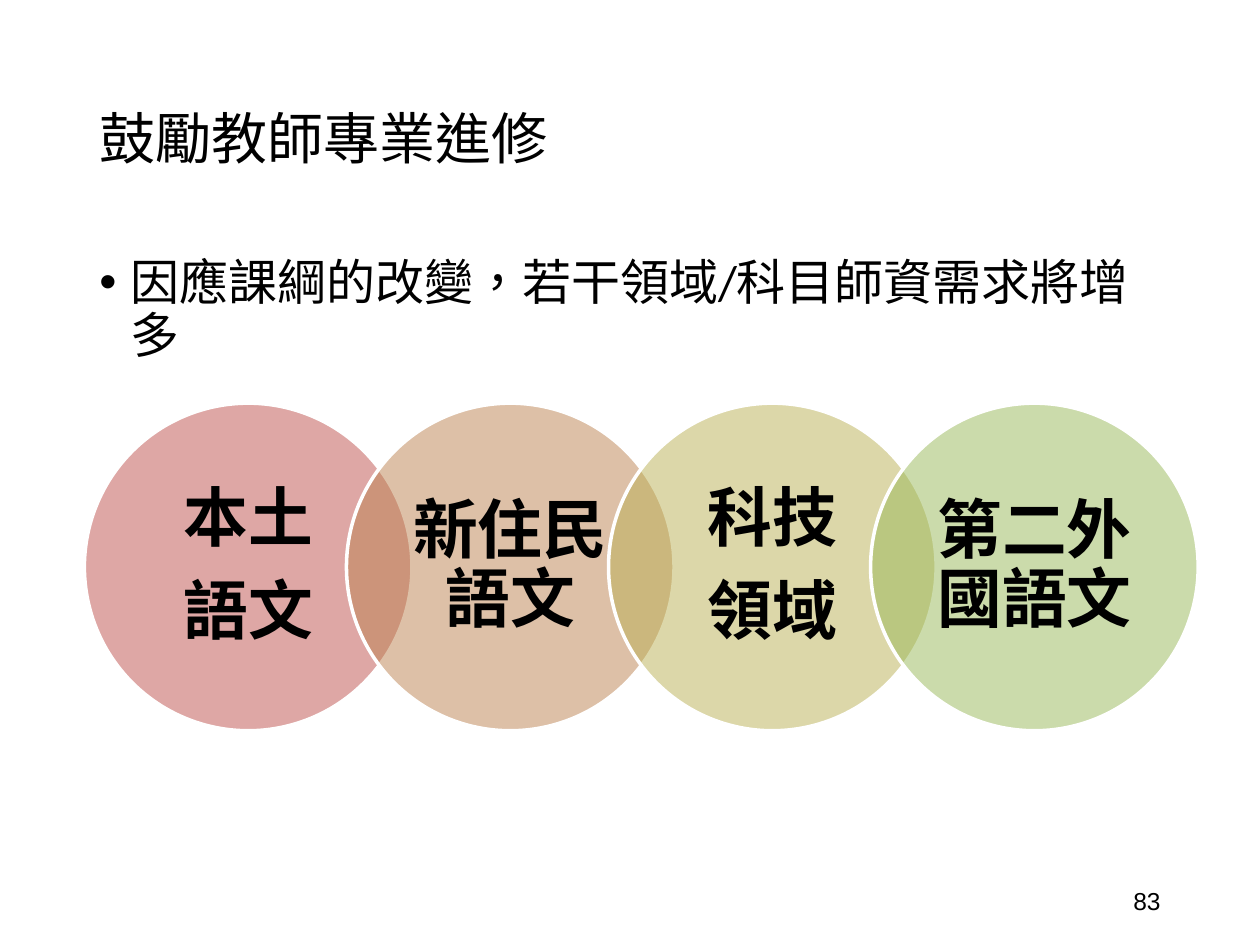
import pptx
import pptx.dml.color
import pptx.enum.lang
import pptx.enum.shapes
import pptx.enum.text
import pptx.oxml.ns
import pptx.util
from lxml import etree

Inches = pptx.util.Inches
Pt = pptx.util.Pt
ALIGN = pptx.enum.text.PP_ALIGN
ANCHOR = pptx.enum.text.MSO_ANCHOR

TITLE = "鼓勵教師專業進修"
BODY = "因應課綱的改變，若干領域/科目師資需求將增多"
PAGE_NUMBER = "83"
SUBJECTS = [
    (["本土", "語文"], "BF504D"),
    (["新住民語文"], "BC8250"),
    (["科技", "領域"], "BBB054"),
    (["第二外國語文"], "99B958"),
]
CJK_FONT = "Noto Sans CJK SC"

CIRCLE_LEFT, CIRCLE_TOP, CIRCLE_SIZE = 0.67, 3.2, 2.6
CIRCLE_STEP = CIRCLE_SIZE * 0.8
LABEL_SIZE = 1.84
LABEL_INSET = (CIRCLE_SIZE - LABEL_SIZE) / 2


def color(hex_value):
    return pptx.dml.color.RGBColor.from_string(hex_value)


def add_element(parent, tag, **attributes):
    element = etree.SubElement(parent, pptx.oxml.ns.qn(tag))
    for name, value in attributes.items():
        element.set(name, value)
    return element


def add_text(slide, box, lines, font, anchor=ANCHOR.MIDDLE, side_inset=0.1,
             bullet=False, **paragraph_format):
    shape = slide.shapes.add_textbox(*map(Inches, box))
    frame = shape.text_frame
    frame_format = {
        "word_wrap": True, "vertical_anchor": anchor,
        "margin_left": Inches(side_inset), "margin_right": Inches(side_inset),
    }
    for name, value in frame_format.items():
        setattr(frame, name, value)
    for index, line in enumerate(lines):
        paragraph = frame.paragraphs[0] if index == 0 else frame.add_paragraph()
        if bullet:
            properties = paragraph._p.get_or_add_pPr()
            properties.set("marL", str(Inches(0.25)))
            properties.set("indent", str(Inches(-0.25)))
            add_element(properties, "a:buFont", typeface="Arial")
            add_element(properties, "a:buChar", char="•")
        for name, value in paragraph_format.items():
            setattr(paragraph, name, value)
        if index:
            paragraph.space_before = Pt(13)
        run = paragraph.add_run()
        run.text = line
        run.font.color.rgb = color("000000")
        run.font.language_id = pptx.enum.lang.MSO_LANGUAGE_ID.TRADITIONAL_CHINESE
        for name, value in font.items():
            setattr(run.font, name, value)
        add_element(run.font._element, "a:ea", typeface=CJK_FONT)


def add_circle(slide, left, fill):
    circle = slide.shapes.add_shape(
        pptx.enum.shapes.MSO_SHAPE.OVAL,
        *map(Inches, (left, CIRCLE_TOP, CIRCLE_SIZE, CIRCLE_SIZE)))
    circle.shadow.inherit = False
    circle.fill.solid()
    circle.fill.fore_color.rgb = color(fill)
    fill_color = circle._element.spPr.find(".//" + pptx.oxml.ns.qn("a:srgbClr"))
    add_element(fill_color, "a:alpha", val="50000")
    circle.line.color.rgb = color("FFFFFF")
    circle.line.width = Pt(2)


def main():
    presentation = pptx.Presentation()
    presentation.slide_width, presentation.slide_height = Inches(10), Inches(7.5)
    slide = presentation.slides.add_slide(presentation.slide_layouts[6])

    add_text(slide, (0.69, 0.4, 8.62, 1.45), [TITLE],
             {"size": Pt(32), "name": "Calibri"}, line_spacing=0.9)
    add_text(slide, (0.69, 2, 8.62, 4.76), [BODY],
             {"size": Pt(28), "name": "Calibri"},
             anchor=ANCHOR.TOP, bullet=True, line_spacing=0.9)
    add_text(slide, (7.06, 6.95, 2.25, 0.4), [PAGE_NUMBER],
             {"size": Pt(14), "name": "Arial"}, alignment=ALIGN.RIGHT)

    for index, (lines, fill) in enumerate(SUBJECTS):
        left = CIRCLE_LEFT + index * CIRCLE_STEP
        add_circle(slide, left, fill)
        label_box = (left + LABEL_INSET, CIRCLE_TOP + LABEL_INSET, LABEL_SIZE, LABEL_SIZE)
        add_text(slide, label_box, lines,
                 {"size": Pt(37), "name": CJK_FONT, "bold": True},
                 side_inset=0.14, alignment=ALIGN.CENTER, line_spacing=0.9)

    presentation.save("out.pptx")


if __name__ == "__main__":
    main()
